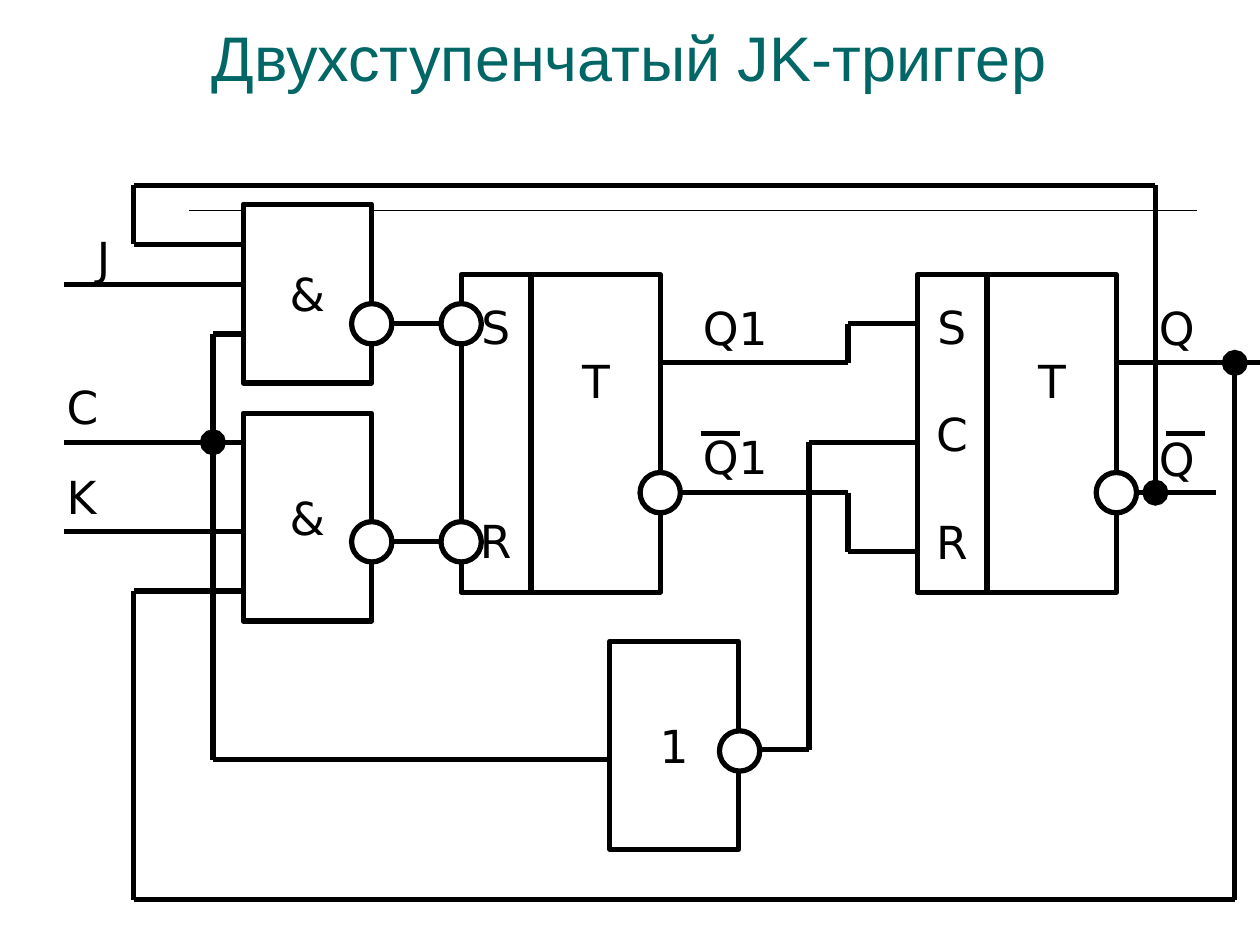
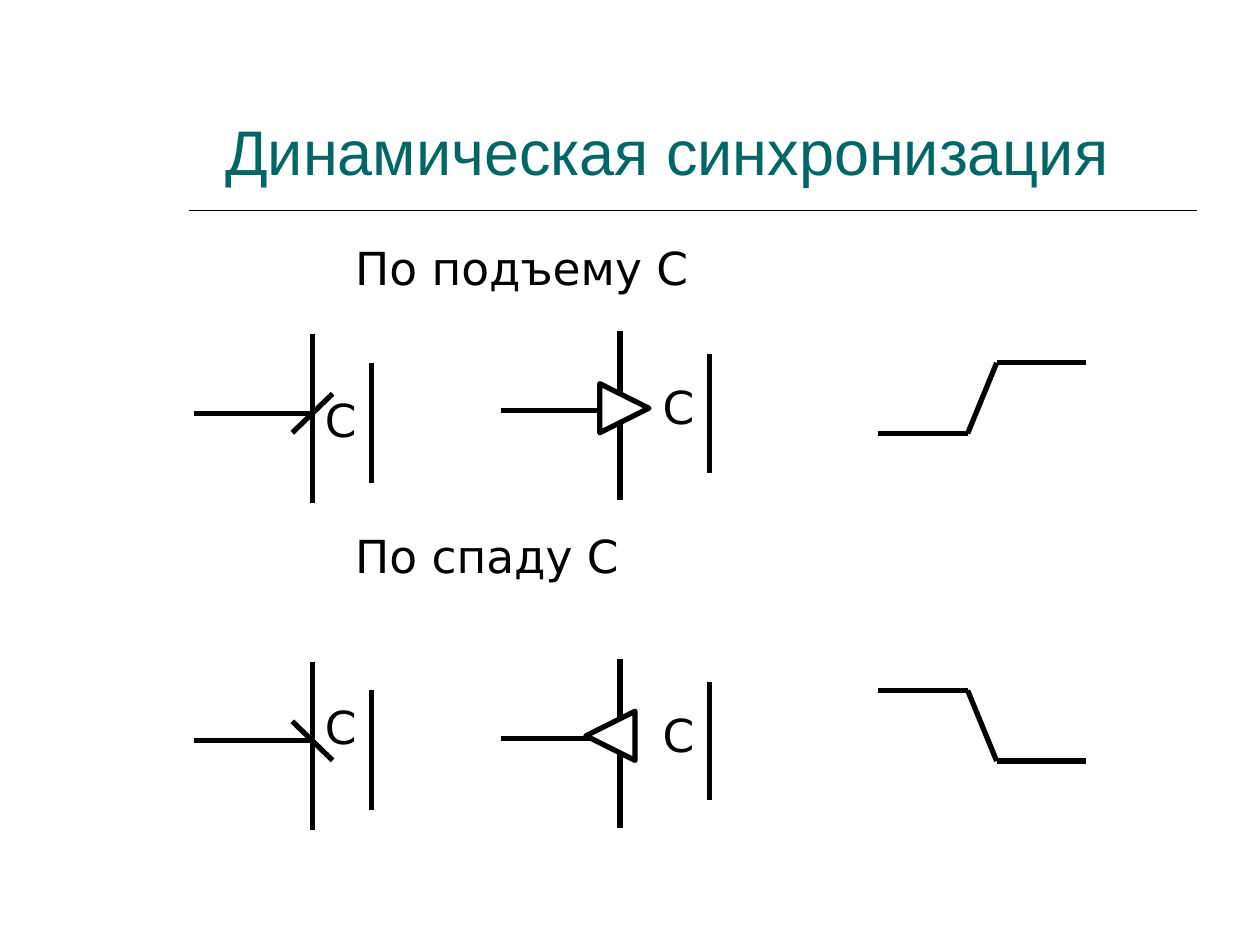
from dataclasses import dataclass

from lxml import etree
from pptx import Presentation
from pptx.dml.color import RGBColor
from pptx.enum.shapes import MSO_CONNECTOR, MSO_SHAPE
from pptx.enum.text import MSO_ANCHOR, PP_ALIGN
from pptx.oxml.ns import qn
from pptx.util import Inches, Pt

STRAIGHT = MSO_CONNECTOR.STRAIGHT
RECTANGLE, OVAL = MSO_SHAPE.RECTANGLE, MSO_SHAPE.OVAL
TRIANGLE = MSO_SHAPE.ISOSCELES_TRIANGLE
TOP, MIDDLE, BOTTOM = MSO_ANCHOR.TOP, MSO_ANCHOR.MIDDLE, MSO_ANCHOR.BOTTOM
LEFT, CENTER = PP_ALIGN.LEFT, PP_ALIGN.CENTER


@dataclass(frozen=True)
class Theme:
    ink: RGBColor = RGBColor(0x00, 0x00, 0x00)
    paper: RGBColor = RGBColor(0xFF, 0xFF, 0xFF)
    accent: RGBColor = RGBColor(0x00, 0x66, 0x66)
    title_font: str = "Arial"
    label_font: str = "DejaVu Sans"
    title_size: int = 36
    label_size: int = 26
    label_line: float = 30.27  # height of one label line, points
    wire_width: int = 3
    rule_width: int = 1


class Diagram:
    """Draws circuit elements on the current slide in one style."""

    def __init__(self, presentation, theme):
        self.presentation = presentation
        self.theme = theme
        self.slide = None

    def new_slide(self, title, left, top, width, height):
        self.slide = self.presentation.slides.add_slide(self.presentation.slide_layouts[6])
        self.line((1.5, 1.67), (9.5, 1.67), self.theme.rule_width)
        box = self.text_box(left, top, width, height)
        box.text_frame.vertical_anchor = BOTTOM
        paragraph = box.text_frame.paragraphs[0]
        paragraph.text = title
        self.style(paragraph, self.theme.title_font, self.theme.title_size, self.theme.accent)

    def style(self, paragraph, name, size, color, alignment=LEFT):
        paragraph.alignment = alignment
        paragraph.font.name = name
        paragraph.font.size = Pt(size)
        paragraph.font.color.rgb = color

    def style_label(self, paragraph, alignment=LEFT):
        theme = self.theme
        self.style(paragraph, theme.label_font, theme.label_size, theme.ink, alignment)

    def text_box(self, left, top, width, height):
        box = self.slide.shapes.add_textbox(
            Inches(left), Inches(top), Inches(width), Inches(height))
        box.text_frame.word_wrap = True
        return box

    def label(self, text, left, top, width=0.86):
        box = self.text_box(left, top, width, 0.54)
        box.text_frame.vertical_anchor = TOP
        paragraph = box.text_frame.paragraphs[0]
        paragraph.text = text
        self.style_label(paragraph)

    def line(self, start, end, width):
        connector = self.slide.shapes.add_connector(
            STRAIGHT, *(Inches(value) for value in (*start, *end)))
        connector.line.color.rgb = self.theme.ink
        connector.line.width = Pt(width)
        etree.SubElement(connector._element.spPr, qn("a:effectLst"))
        return connector

    def wire(self, *points, dot=False):
        """Joins the points by straight segments; a dot marks a junction at the end."""
        for start, end in zip(points, points[1:]):
            segment = self.line(start, end, self.theme.wire_width)
        if dot:
            etree.SubElement(segment.line._get_or_add_ln(), qn("a:tailEnd"),
                             type="oval", w="lg", len="lg")

    def outline(self, kind, left, top, width, height):
        shape = self.slide.shapes.add_shape(
            kind, Inches(left), Inches(top), Inches(width), Inches(height))
        shape.shadow.inherit = False
        shape.fill.solid()
        shape.fill.fore_color.rgb = self.theme.paper
        shape.line.color.rgb = self.theme.ink
        shape.line.width = Pt(self.theme.wire_width)
        return shape

    def block(self, lines, left, top, width, height, gap_lines=0, raised=0):
        """Rectangle with centred lines, lifted by `raised` inches."""
        frame = self.outline(RECTANGLE, left, top, width, height).text_frame
        frame.word_wrap = False
        frame.vertical_anchor = MIDDLE
        frame.margin_bottom = Inches(0.05 + 2 * raised)
        for index, text in enumerate(lines):
            paragraph = frame.add_paragraph() if index else frame.paragraphs[0]
            paragraph.text = text
            if index:
                paragraph.space_before = Pt(gap_lines * self.theme.label_line)
            self.style_label(paragraph, CENTER)

    def flip_flop(self, inputs, gap_lines, left):
        self.block(inputs, left, 2.18, 0.55, 2.52, gap_lines)
        self.block(["T"], left + 0.56, 2.18, 1.02, 2.52, raised=0.42)

    def bubble(self, x, y, size=0.32):
        self.outline(OVAL, x - size / 2, y - size / 2, size, size)

    def pointer(self, x, y, rotation, size=0.39):
        self.outline(TRIANGLE, x - size / 2, y - size / 2, size, size).rotation = rotation


def build_jk_slide(diagram):
    diagram.new_slide("Двухступенчатый JK-триггер", 1.58, 0.04, 7.92, 0.76)

    # Inputs and the clock
    for y in (2.26, 3.51, 4.22):
        diagram.wire((0.51, y), (2.01, y))
    diagram.wire((1.93, 2.65), (1.69, 2.65), (1.69, 3.51))
    diagram.wire((4.84, 6.03), (1.69, 6.03), (1.69, 3.51), dot=True)
    diagram.wire((5.87, 5.95), (6.42, 5.95), (6.42, 3.51), (7.28, 3.51))

    # Links between the stages
    for y in (2.57, 4.3):
        diagram.wire((2.95, y), (3.66, y))
    diagram.wire((5.24, 2.88), (6.73, 2.88), (6.73, 2.57), (7.28, 2.57))
    diagram.wire((5.24, 3.91), (6.73, 3.91), (6.73, 4.38), (7.28, 4.38))

    # Outputs and feedback
    diagram.wire((8.86, 2.88), (10, 2.88))
    diagram.wire((8.94, 3.91), (9.65, 3.91))
    diagram.wire((1.93, 1.94), (1.06, 1.94), (1.06, 1.47), (9.17, 1.47), (9.17, 3.91), dot=True)
    diagram.wire((1.93, 4.69), (1.06, 4.69), (1.06, 7.14), (9.8, 7.14), (9.8, 2.88), dot=True)

    # Gates and flip-flops
    diagram.block(["&"], 1.93, 1.62, 1.02, 1.42)
    diagram.block(["&"], 1.93, 3.28, 1.02, 1.65)
    diagram.block(["1"], 4.84, 5.09, 1.02, 1.65)
    diagram.flip_flop(["S", "R"], 3, 3.66)
    diagram.flip_flop(["S", "C", "R"], 1, 7.28)
    for x, y in ((2.95, 2.57), (2.95, 4.3), (3.66, 2.57), (3.66, 4.3),
                 (5.24, 3.91), (8.86, 3.91), (5.87, 5.96)):
        diagram.bubble(x, y)

    # Signal names, with bars over the inverted ones
    for text, left, top in (("J", 0.67, 1.78), ("С", 0.43, 2.96), ("K", 0.43, 3.67),
                            ("Q1", 5.48, 2.33), ("Q1", 5.48, 3.36),
                            ("Q", 9.1, 2.33), ("Q", 9.1, 3.37)):
        diagram.label(text, left, top)
    for x in (5.56, 9.25):
        diagram.wire((x, 3.44), (x + 0.31, 3.44))


def draw_sync_row(diagram, caption, caption_top, middle, clock_top, direction):
    """One row of symbols; direction is 1 for the rising edge and -1 for the falling one."""
    diagram.label(caption, 2.72, caption_top, 2.91)

    # Input marked by a slash
    diagram.wire((1.54, middle), (2.48, middle))
    diagram.wire((2.48, middle - 0.63), (2.48, middle + 0.71))
    diagram.wire((2.95, middle - 0.4), (2.95, middle + 0.55))
    diagram.wire((2.32, middle + 0.155 * direction), (2.64, middle - 0.155 * direction))
    diagram.label("С", 2.48, clock_top, 0.71)

    # Input marked by a triangle
    axis = middle - 0.02
    diagram.wire((3.98, axis), (4.92, axis))
    diagram.wire((4.92, axis - 0.63), (4.92, axis + 0.71))
    diagram.wire((5.63, axis - 0.45), (5.63, axis + 0.49))
    diagram.pointer(4.9 + 0.055 * direction, axis - 0.02, 90 * direction)
    diagram.label("С", 5.16, middle - 0.32, 0.71)

    # Edge of the clock signal
    centre = middle - 0.12
    before, after = centre + 0.28 * direction, centre - 0.28 * direction
    diagram.wire((6.97, before), (7.68, before), (7.91, after), (8.62, after))


def build_sync_slide(diagram):
    diagram.new_slide("Динамическая синхронизация", 1.69, 0.08, 7.84, 1.46)
    draw_sync_row(diagram, "По подъему С", 1.86, 3.28, 3.06, 1)
    draw_sync_row(diagram, "По спаду С", 4.14, 5.88, 5.5, -1)


def main():
    presentation = Presentation()
    presentation.slide_width = Inches(10)
    presentation.slide_height = Inches(7.5)
    diagram = Diagram(presentation, Theme())
    build_jk_slide(diagram)
    build_sync_slide(diagram)
    presentation.save("out.pptx")


if __name__ == "__main__":
    main()
